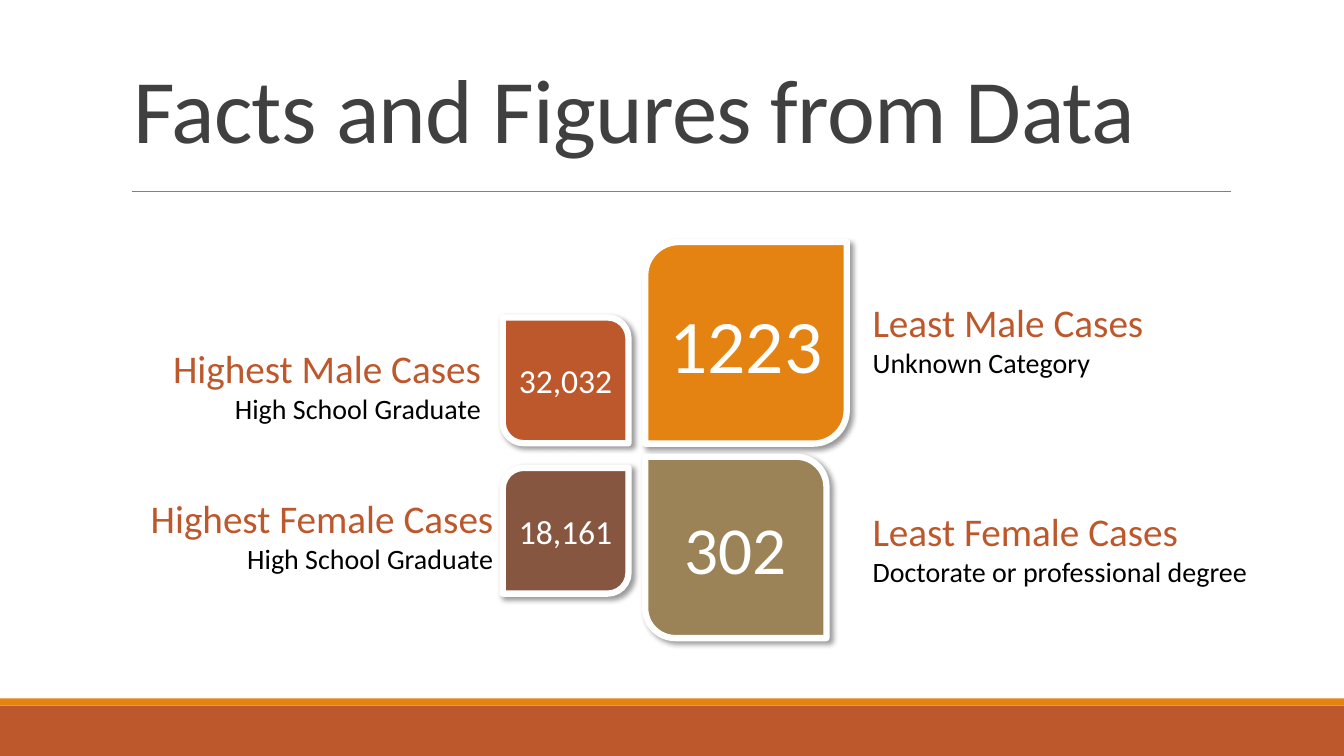
from lxml.etree import SubElement
from pptx import Presentation
from pptx.dml.color import RGBColor
from pptx.enum.shapes import MSO_CONNECTOR, MSO_SHAPE
from pptx.enum.text import MSO_ANCHOR, MSO_AUTO_SIZE, PP_ALIGN
from pptx.oxml.ns import qn
from pptx.util import Cm, Pt

COLORS = {
    "rust": "BD582C", "orange": "E48312", "brown": "865640", "khaki": "9B8357",
    "title": "404040", "rule": "808080", "white": "FFFFFF", "black": "000000",
}
WIDTH, HEIGHT = 33.87, 19.05


def color(name):
    return RGBColor.from_string(COLORS[name])


class FactSlide:
    font_name = "Calibri"

    def __init__(self, deck):
        self.page = deck.slides.add_slide(deck.slide_layouts[5])

    def style(self, paragraph, size, tint, align=PP_ALIGN.LEFT):
        paragraph.alignment = align
        for span in paragraph.runs:
            span.font.name = self.font_name
            span.font.size = Pt(size)
            span.font.color.rgb = color(tint)

    def shape(self, kind, left, top, width, height, fill):
        shape = self.page.shapes.add_shape(
            kind, Cm(left), Cm(top), Cm(width), Cm(height))
        shape.shadow.inherit = False
        shape.fill.solid()
        shape.fill.fore_color.rgb = color(fill)
        shape.line.fill.background()
        return shape

    def band(self, top, height, fill):
        self.shape(MSO_SHAPE.RECTANGLE, 0, top, WIDTH, height, fill)

    def rule(self, left, right, y):
        line = self.page.shapes.add_connector(
            MSO_CONNECTOR.STRAIGHT, Cm(left), Cm(y), Cm(right), Cm(y))
        line.line.color.rgb = color("rule")
        line.line.width = Pt(0.5)
        SubElement(line._element.spPr, qn("a:effectLst"))

    def title(self, text, left, top, width, height):
        box = self.page.shapes.title
        box.left, box.top, box.width, box.height = map(Cm, (left, top, width, height))
        frame = box.text_frame
        frame.text = text
        frame.word_wrap = True
        frame.auto_size = MSO_AUTO_SIZE.NONE
        frame.vertical_anchor = MSO_ANCHOR.BOTTOM
        paragraph = frame.paragraphs[0]
        paragraph.line_spacing = 0.85
        self.style(paragraph, 64.8, "title")
        paragraph.runs[0].font._element.set("spc", "-50")

    def leaf(self, number, left, top, side, fill, size, flipped):
        """Draw a square tile with two opposite corners rounded."""
        tile = self.shape(MSO_SHAPE.ROUND_2_DIAG_RECTANGLE, left, top, side, side, fill)
        tile.line.color.rgb = color("white")
        tile.line.width = Pt(4.5)
        if flipped:
            tile._element.spPr.xfrm.set("flipH", "1")
        self.drop_shadow(tile)
        frame = tile.text_frame
        frame.text = number
        frame.word_wrap = False
        frame.vertical_anchor = MSO_ANCHOR.MIDDLE
        self.style(frame.paragraphs[0], size, "white", PP_ALIGN.CENTER)

    def drop_shadow(self, shape):
        effects = shape._element.spPr.find(qn("a:effectLst"))
        shadow = SubElement(
            effects, qn("a:outerShdw"), blurRad=str(Pt(4)), dist=str(Pt(3)),
            dir=str(45 * 60000), algn="tl", rotWithShape="0")
        tint = SubElement(shadow, qn("a:srgbClr"), val=COLORS["black"])
        SubElement(tint, qn("a:alpha"), val="40000")

    def caption(self, heading, detail, left, top, width, height, align):
        box = self.page.shapes.add_textbox(Cm(left), Cm(top), Cm(width), Cm(height))
        frame = box.text_frame
        frame.word_wrap = True
        frame.auto_size = MSO_AUTO_SIZE.SHAPE_TO_FIT_TEXT
        frame.text = f"{heading}\n{detail}"
        self.style(frame.paragraphs[0], 28, "rust", align)
        self.style(frame.paragraphs[1], 20, "black", align)


def main():
    deck = Presentation()
    deck.slide_width, deck.slide_height = Cm(WIDTH), Cm(HEIGHT)
    slide = FactSlide(deck)

    slide.band(17.78, 1.27, "rust")
    slide.band(17.6, 0.18, "orange")
    slide.rule(3.33, 31.01, 4.82)
    slide.title("Facts and Figures from Data", 3.1, 1.96, 27.94, 2.24)

    left, right = PP_ALIGN.LEFT, PP_ALIGN.RIGHT
    facts = [
        (("32,032", 12.67, 8, 3.17, "rust", 24, True),
         ("Highest Male Cases", "High School Graduate", 3.56, 8.56, 8.81, 2.31, right)),
        (("18,161", 12.67, 11.79, 3.17, "brown", 24, False),
         ("Highest Female Cases", "High School Graduate", 3.1, 12.34, 9.58, 2.31, right)),
        (("1223", 16.26, 6.1, 5.08, "orange", 54, False),
         ("Least Male Cases", "Unknown Category", 21.74, 7.39, 8.81, 2.31, left)),
        (("302", 16.26, 11.51, 4.57, "khaki", 48, True),
         ("Least Female Cases", "Doctorate or professional degree",
          21.74, 12.65, 10.16, 3.51, left)),
    ]
    for leaf, caption in facts:
        slide.leaf(*leaf)
        slide.caption(*caption)

    deck.save("out.pptx")


if __name__ == "__main__":
    main()
